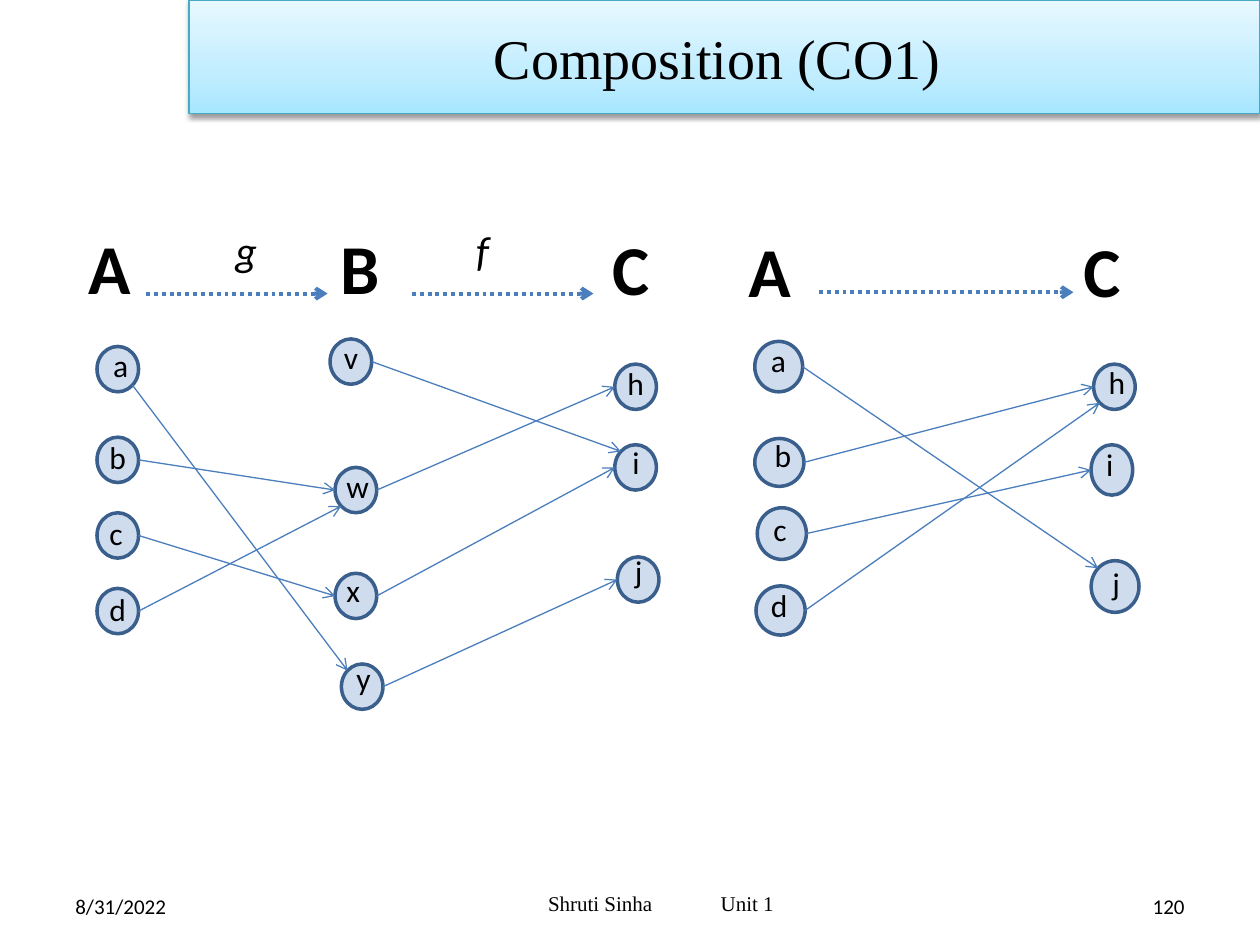
import math
import pptx
import pptx.dml.color
import pptx.enum.dml
import pptx.enum.shapes
import pptx.enum.text
import pptx.oxml
import pptx.oxml.ns
import pptx.util
from pptx.util import Inches

ALIGN = pptx.enum.text.PP_ALIGN
ANCHOR = pptx.enum.text.MSO_ANCHOR
NAMESPACE = pptx.oxml.ns.nsdecls("a")
SERIF = "Times New Roman"

RIGHT, LOWER_RIGHT, LOWER_LEFT, LEFT, UPPER_LEFT = 0, 45, 135, 180, 225

HEADINGS = [("A", 0.6, 1.73), ("B", 2.6, 1.73), ("C", 4.76, 1.74),
            ("A", 5.84, 1.76), ("C", 8.5, 1.76)]
FUNCTIONS = [("g", 1.77), ("f", 3.68)]
HEADING_ARROWS = [(1.16, 2.6, 2.33), (3.27, 4.71, 2.33), (6.5, 8.52, 2.32)]

SMALL = (0.33, 0.36)
CHAIN_NODES = {
    "a": (0.77, 2.75, *SMALL, 0.8, 2.7),
    "b": (0.77, 3.47, *SMALL, 0.77, 3.43),
    "c": (0.77, 4.07, *SMALL, 0.77, 4.03),
    "d": (0.77, 4.67, *SMALL, 0.77, 4.63),
    "v": (2.62, 2.69, *SMALL, 2.63, 2.63),
    "w": (2.66, 3.71, *SMALL, 2.65, 3.66),
    "x": (2.66, 4.55, *SMALL, 2.65, 4.48),
    "y": (2.71, 5.27, *SMALL, 2.73, 5.18),
    "h": (4.88, 2.89, *SMALL, 4.88, 2.84),
    "i": (4.88, 3.53, *SMALL, 4.92, 3.47),
    "j": (4.9, 4.42, *SMALL, 4.94, 4.33),
}
CHAIN_EDGES = [
    ("a", LOWER_RIGHT, "y", UPPER_LEFT), ("b", RIGHT, "w", LEFT),
    ("c", RIGHT, "x", LEFT), ("d", RIGHT, "w", LOWER_LEFT),
    ("v", RIGHT, "i", UPPER_LEFT), ("w", RIGHT, "h", LEFT),
    ("x", RIGHT, "i", LEFT), ("y", RIGHT, "j", LEFT),
]
COMPOSED_NODES = {
    "a": (5.99, 2.71, 0.38, 0.4, 6.02, 2.66),
    "b": (5.99, 3.48, 0.39, 0.38, 6.05, 3.41),
    "c": (6.01, 4.03, 0.39, 0.41, 6.04, 4),
    "d": (6, 4.65, 0.39, 0.39, 6.02, 4.6),
    "h": (8.68, 2.89, *SMALL, 8.7, 2.83),
    "i": (8.66, 3.53, 0.33, 0.4, 8.68, 3.48),
    "j": (8.66, 4.45, 0.38, 0.41, 8.73, 4.43),
}
COMPOSED_EDGES = [
    ("a", RIGHT, "j", UPPER_LEFT), ("b", RIGHT, "h", LEFT),
    ("c", RIGHT, "i", LEFT), ("d", RIGHT, "h", LOWER_LEFT),
]


def color(value):
    return pptx.dml.color.RGBColor.from_string(value)


def add_xml(parent, markup):
    tag, rest = markup.split(" ", 1)
    parent.append(pptx.oxml.parse_xml(f"{tag} {NAMESPACE} {rest}"))


def write(shape, text, size=18, font="Calibri", bold=False, italic=False,
          align=ALIGN.LEFT, anchor=ANCHOR.TOP, tab=None):
    frame = shape.text_frame
    frame.word_wrap = True
    frame.vertical_anchor = anchor
    para = frame.paragraphs[0]
    para.alignment = align
    if tab:
        add_xml(para._p.get_or_add_pPr(),
                f'<a:tabLst ><a:tab pos="{Inches(tab)}" algn="l"/></a:tabLst>')
    span = para.add_run()
    span.text = text
    span.font.size = pptx.util.Pt(size)
    span.font.name = font
    span.font.bold = bold
    span.font.italic = italic
    span.font.color.rgb = color("000000")


def add_text(page, text, left, top, width, height, **style):
    box = page.shapes.add_textbox(
        Inches(left), Inches(top), Inches(width), Inches(height))
    write(box, text, **style)
    return box


def add_banner(page, text):
    banner = page.shapes.add_shape(
        pptx.enum.shapes.MSO_SHAPE.RECTANGLE,
        Inches(1.5), 0, Inches(8.5), Inches(0.9))
    banner.fill.gradient()
    banner.fill.gradient_angle = 90
    properties = banner._element.spPr
    stops = properties.find(".//" + pptx.oxml.ns.qn("a:gsLst"))
    for stop in list(stops):
        stops.remove(stop)
    for place, shade in [(0, "A7E6FF"), (35, "C1EDFF"), (100, "E7F8FF")]:
        add_xml(stops, f'<a:gs pos="{place * 1000}"><a:srgbClr val="{shade}"/></a:gs>')
    banner.line.color.rgb = color("46AAC5")
    banner.line.width = pptx.util.Pt(0.75)
    banner.shadow.inherit = False
    add_xml(properties.find(pptx.oxml.ns.qn("a:effectLst")),
            f'<a:outerShdw blurRad="{pptx.util.Pt(3.1)}" dist="{pptx.util.Pt(1.6)}" '
            'dir="5400000" rotWithShape="0"><a:srgbClr val="000000">'
            '<a:alpha val="38000"/></a:srgbClr></a:outerShdw>')
    write(banner, text, size=32, font=SERIF, align=ALIGN.CENTER, anchor=ANCHOR.MIDDLE)


def add_arrow(page, start, end, width=0.75, dotted=False):
    arrow = page.shapes.add_connector(
        pptx.enum.shapes.MSO_CONNECTOR.STRAIGHT,
        *[Inches(value) for value in (*start, *end)])
    arrow.line.color.rgb = color("4B7EBC")
    arrow.line.width = pptx.util.Pt(width)
    if dotted:
        arrow.line.dash_style = pptx.enum.dml.MSO_LINE.ROUND_DOT
    add_xml(arrow.line._get_or_add_ln(), '<a:tailEnd type="arrow"/>')
    add_xml(arrow._element.spPr, "<a:effectLst />")


def add_circle(page, left, top, width, height):
    circle = page.shapes.add_shape(
        pptx.enum.shapes.MSO_SHAPE.FLOWCHART_CONNECTOR,
        Inches(left), Inches(top), Inches(width), Inches(height))
    circle.fill.solid()
    circle.fill.fore_color.rgb = color("4F81BD")
    tint = circle._element.spPr.find(".//" + pptx.oxml.ns.qn("a:srgbClr"))
    add_xml(tint, '<a:alpha val="27000"/>')
    circle.line.color.rgb = color("3A5F8C")
    circle.line.width = pptx.util.Pt(2)
    circle.shadow.inherit = False


def rim_point(node, degrees):
    left, top, width, height = node[:4]
    angle = math.radians(degrees)
    return (left + width / 2 * (1 + math.cos(angle)),
            top + height / 2 * (1 + math.sin(angle)))


def add_mapping(page, nodes, edges):
    for letter, (left, top, width, height, text_left, text_top) in nodes.items():
        add_circle(page, left, top, width, height)
        add_text(page, letter, text_left, text_top, 0.31, 0.37)
    for source, leaving, target, entering in edges:
        add_arrow(page, rim_point(nodes[source], leaving),
                  rim_point(nodes[target], entering))


def add_footer(page):
    add_text(page, "8/31/2022", 0.5, 6.95, 2.33, 0.48, size=12, anchor=ANCHOR.MIDDLE)
    add_text(page, "120", 7.17, 6.95, 2.33, 0.48, size=12,
             align=ALIGN.RIGHT, anchor=ANCHOR.MIDDLE)
    author = add_text(page, "Shruti Sinha\tUnit 1", 2.5, 6.93, 5.5, 0.48, size=12,
                      font=SERIF, anchor=ANCHOR.MIDDLE, tab=1.37)
    author.text_frame.margin_left = Inches(1.85)


def main():
    deck = pptx.Presentation()
    deck.slide_width, deck.slide_height = Inches(10), Inches(7.5)
    page = deck.slides.add_slide(deck.slide_layouts[6])
    add_banner(page, "Composition (CO1) ")
    for letter, left, top in HEADINGS:
        add_text(page, letter, left, top, 0.75, 0.93, size=40, bold=True)
    for letter, left in FUNCTIONS:
        add_text(page, letter, left, 1.73, 0.39, 0.5, size=24, italic=True)
    for start, end, height in HEADING_ARROWS:
        add_arrow(page, (start, height), (end, height), width=2.25, dotted=True)
    add_mapping(page, CHAIN_NODES, CHAIN_EDGES)
    add_mapping(page, COMPOSED_NODES, COMPOSED_EDGES)
    add_footer(page)
    deck.save("out.pptx")


if __name__ == "__main__":
    main()
